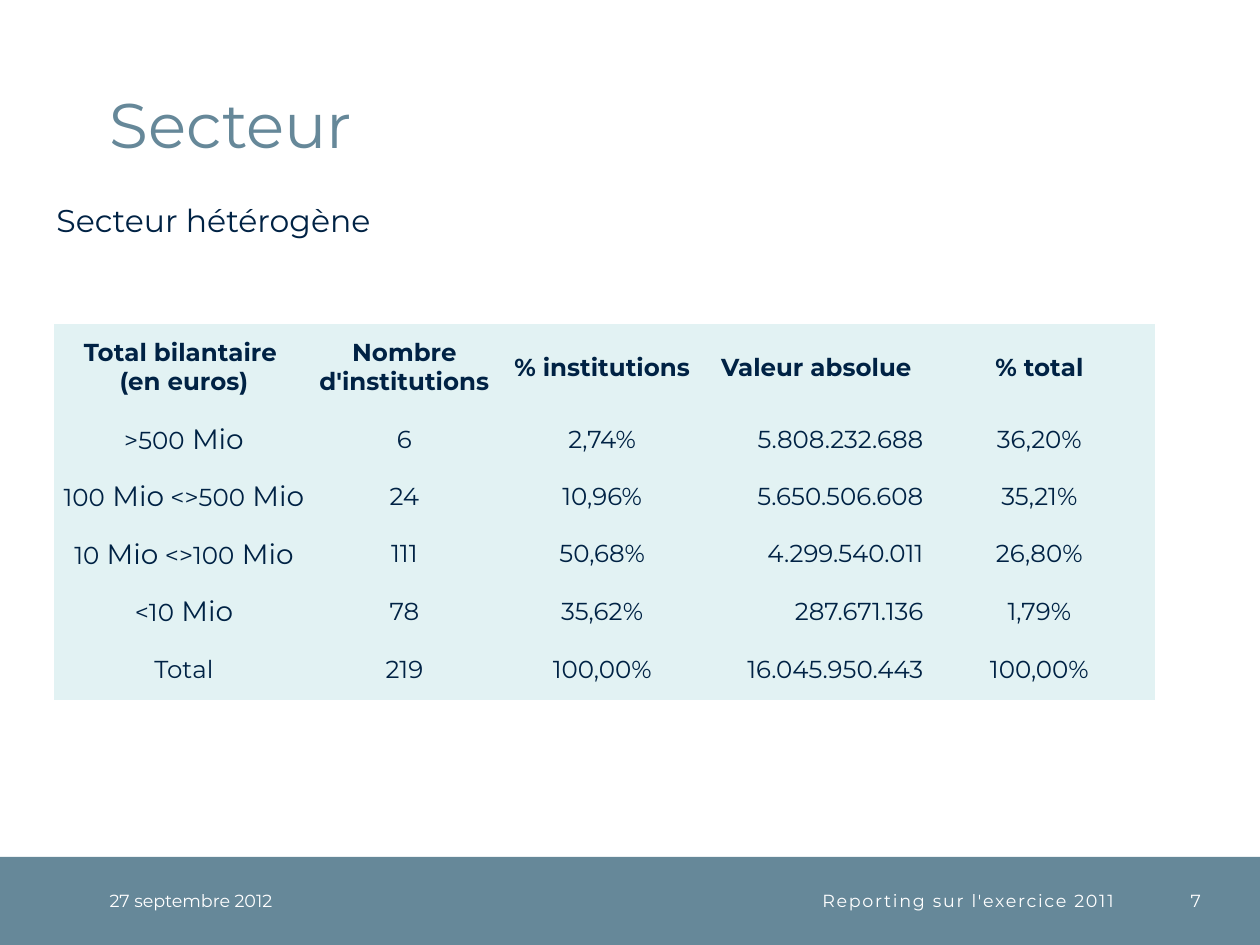
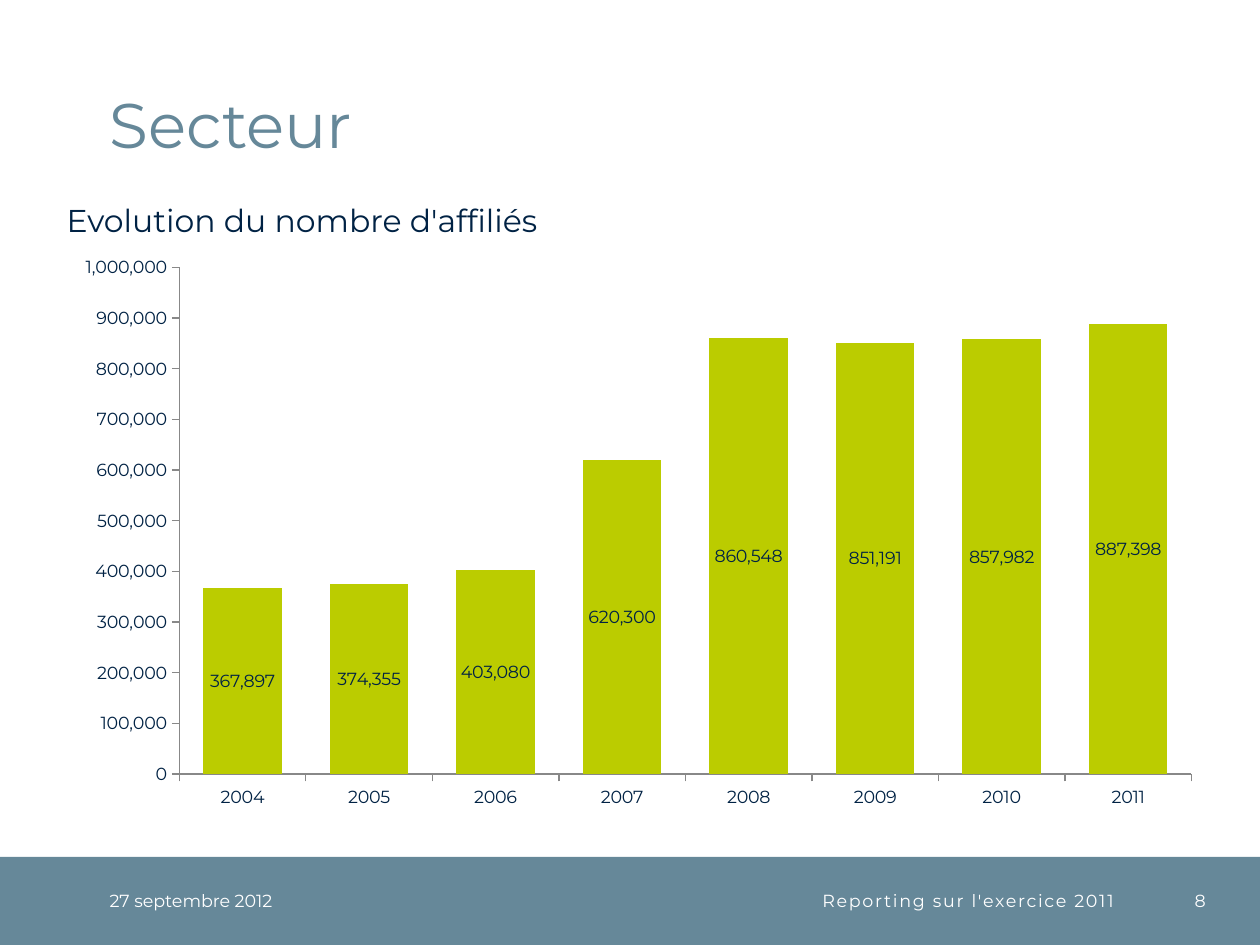
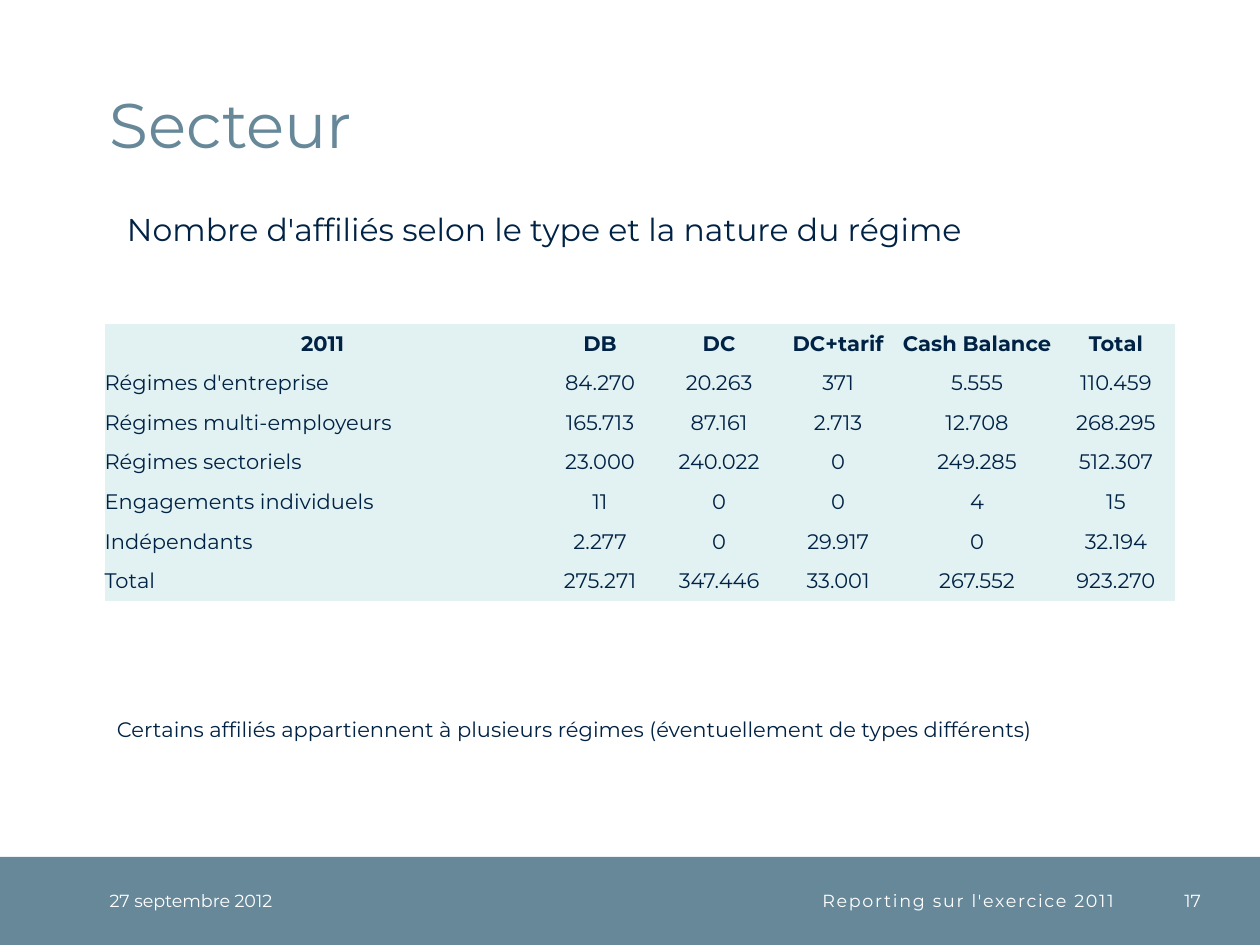
from dataclasses import dataclass
from typing import Optional

from lxml import etree
from pptx import Presentation
from pptx.chart.data import CategoryChartData
from pptx.dml.color import RGBColor
from pptx.enum.chart import XL_CHART_TYPE, XL_LABEL_POSITION, XL_TICK_MARK
from pptx.enum.shapes import MSO_SHAPE
from pptx.enum.text import MSO_ANCHOR, MSO_AUTO_SIZE, PP_ALIGN
from pptx.oxml.ns import qn
from pptx.util import Emu, Inches, Pt

LEFT, CENTER, RIGHT = PP_ALIGN.LEFT, PP_ALIGN.CENTER, PP_ALIGN.RIGHT
TOP, MIDDLE, BOTTOM = MSO_ANCHOR.TOP, MSO_ANCHOR.MIDDLE, MSO_ANCHOR.BOTTOM

# Shared style
FONT = "Montserrat"
SLATE, NAVY, WHITE = "668899", "002244", "FFFFFF"
PALE, LIME, GREY = "E2F2F3", "BBCC00", "888888"
NO_TABLE_STYLE = "{2D5ABB26-0587-4C30-8999-92F81FD0307C}"

# The slide is a grid of 100 columns by 75 rows
COLUMNS, ROWS = 100, 75
CELL = Inches(0.1)
MARGIN = 8.7
BAND_TOP, BAND_HEIGHT = 68, 7


@dataclass(frozen=True)
class Box:
    left: float
    top: float
    width: float
    height: float

    def place(self) -> tuple[Emu, Emu, Emu, Emu]:
        return grid(self.left), grid(self.top), grid(self.width), grid(self.height)


@dataclass(frozen=True)
class Style:
    size: float
    color: str = NAVY
    bold: bool = False
    tracking: float = 0


@dataclass(frozen=True)
class Footer:
    date_width: float = 17.7
    report_left: float = 26.4
    number_left: float = 90.4
    number_right: float = 95.3


@dataclass(frozen=True)
class TableSpec:
    box: Box
    columns: list[float]
    rows: list[float]
    alignments: list[PP_ALIGN]
    size: float
    cells: list[list[str]]
    unit: Optional[str] = None  # word set two points larger in the body


TITLE = Style(36, SLATE)
HEADING = Style(18)
NOTE = Style(12)
FOOTER = Style(10, WHITE)
REPORT = Style(10, WHITE, tracking=1)


def grid(steps: float) -> Emu:
    return Emu(round(steps * CELL))


def rgb(color: str) -> RGBColor:
    return RGBColor.from_string(color)


def add_run(paragraph, text: str, style: Style) -> None:
    run = paragraph.add_run()
    run.text = text
    run.font.name, run.font.size, run.font.bold = FONT, Pt(style.size), style.bold
    run.font.color.rgb = rgb(style.color)
    if style.tracking:
        run.font._element.set("spc", str(round(style.tracking * 100)))


def add_text(slide, box: Box, text: str, style: Style, align=LEFT, anchor=MIDDLE,
             line_spacing: Optional[float] = None, fit: bool = False) -> None:
    frame = slide.shapes.add_textbox(*box.place()).text_frame
    frame.word_wrap = True
    frame.vertical_anchor = anchor
    if fit:
        frame.auto_size = MSO_AUTO_SIZE.SHAPE_TO_FIT_TEXT
    else:
        frame.margin_left = frame.margin_right = frame.margin_top = frame.margin_bottom = 0
    paragraph = frame.paragraphs[0]
    paragraph.alignment = align
    if line_spacing:
        paragraph.line_spacing = Pt(line_spacing)
    add_run(paragraph, text, style)


def add_caption(slide, box: Box, text: str, style: Style = HEADING) -> None:
    add_text(slide, box, text, style, anchor=TOP, fit=True)


def add_base(presentation, number: int, footer: Footer = Footer()):
    """Blank slide with the band, title and footer texts."""
    slide = presentation.slides.add_slide(presentation.slide_layouts[6])
    band = slide.shapes.add_shape(
        MSO_SHAPE.RECTANGLE, *Box(0, BAND_TOP, COLUMNS, BAND_HEIGHT).place())
    band.shadow.inherit = False
    band.fill.solid()
    band.fill.fore_color.rgb = rgb(SLATE)
    band.line.fill.background()

    add_text(slide, Box(MARGIN, 2, 86.3, 10.8), "Secteur", TITLE,
             anchor=BOTTOM, line_spacing=32)
    footer_texts = [
        (MARGIN, MARGIN + footer.date_width, "27 septembre 2012", FOOTER, LEFT),
        (footer.report_left, 88.4, "Reporting sur l'exercice 2011", REPORT, RIGHT),
        (footer.number_left, footer.number_right, str(number), FOOTER, RIGHT),
    ]
    for left, right, text, style, align in footer_texts:
        add_text(slide, Box(left, BAND_TOP, right - left, BAND_HEIGHT), text, style, align)
    return slide


def fill_cell(cell, text: str, style: Style, align, unit: Optional[str]) -> None:
    cell.fill.solid()
    cell.fill.fore_color.rgb = rgb(PALE)
    cell.margin_left = cell.margin_right = cell.margin_top = cell.margin_bottom = 0
    cell.vertical_anchor = MIDDLE
    frame = cell.text_frame
    for line_index, line in enumerate(text.split("\n")):
        paragraph = frame.add_paragraph() if line_index else frame.paragraphs[0]
        paragraph.alignment = align
        for index, piece in enumerate(line.split(unit) if unit else [line]):
            if index:
                add_run(paragraph, unit, Style(style.size + 2))
            if piece:
                add_run(paragraph, piece, style)


def add_table(slide, spec: TableSpec) -> None:
    frame = slide.shapes.add_table(len(spec.rows), len(spec.columns), *spec.box.place())
    table = frame.table
    table.first_row = table.horz_banding = False
    next(frame._element.iter(qn("a:tableStyleId"))).text = NO_TABLE_STYLE
    for column, width in zip(table.columns, spec.columns):
        column.width = grid(width)
    for row, height in zip(table.rows, spec.rows):
        row.height = grid(height)
    for row_index, texts in enumerate(spec.cells):
        header = row_index == 0
        style = Style(spec.size, bold=header)
        for column_index, text in enumerate(texts):
            align = CENTER if header else spec.alignments[column_index]
            fill_cell(table.cell(row_index, column_index), text, style, align,
                      None if header else spec.unit)


def set_plot_area(chart, shares: dict[str, float]) -> None:
    """Fix the inner plot area as shares of the chart's size."""
    plot_area = chart._chartSpace.chart.plotArea
    for old_layout in plot_area.findall(qn("c:layout")):
        plot_area.remove(old_layout)
    layout = etree.Element(qn("c:layout"))
    manual = etree.SubElement(layout, qn("c:manualLayout"))
    settings = {"layoutTarget": "inner", "xMode": "edge", "yMode": "edge", **shares}
    for name, value in settings.items():
        etree.SubElement(manual, qn(f"c:{name}")).set("val", str(value))
    plot_area.insert(0, layout)


def add_members_chart(slide, box: Box, members: dict[str, int]) -> None:
    data = CategoryChartData(number_format="#,##0")
    data.categories = list(members)
    data.add_series("Series 1", list(members.values()))
    chart = slide.shapes.add_chart(XL_CHART_TYPE.COLUMN_STACKED, *box.place(), data).chart
    chart.has_legend = chart.has_title = False
    chart.font.name, chart.font.size = FONT, Pt(10)
    chart.font.color.rgb = rgb(NAVY)

    # Axes
    for axis in (chart.category_axis, chart.value_axis):
        axis.has_major_gridlines = False
        axis.major_tick_mark = XL_TICK_MARK.OUTSIDE
        axis.minor_tick_mark = XL_TICK_MARK.NONE
        axis.format.line.color.rgb = rgb(GREY)
        axis.format.line.width = Pt(0.75)
    value_axis = chart.value_axis
    value_axis.minimum_scale, value_axis.maximum_scale = 0, 1_000_000
    value_axis.major_unit = 100_000
    value_axis.tick_labels.number_format = "#,##0"
    value_axis.tick_labels.number_format_is_linked = False

    # Columns and their labels
    plot = chart.plots[0]
    plot.vary_by_categories = False
    plot.gap_width, plot.overlap = 61, 100
    series = plot.series[0]
    series.format.fill.solid()
    series.format.fill.fore_color.rgb = rgb(LIME)
    labels = series.data_labels
    labels.show_value = True
    labels.position = XL_LABEL_POSITION.CENTER
    labels.number_format, labels.number_format_is_linked = "#,##0", False
    labels.font.name, labels.font.size = FONT, Pt(10)
    labels.font.color.rgb = rgb(NAVY)
    set_plot_area(chart, {"x": 0.1, "y": 0.04, "w": 0.88, "h": 0.88})


BALANCE_TABLE = TableSpec(
    box=Box(4.3, 25.7, 87.4, 29.9),
    columns=[20.6, 14.4, 17, 17, 18.4],
    rows=[6.9] + [4.55] * 4 + [4.8],
    alignments=[CENTER, CENTER, CENTER, RIGHT, CENTER],
    size=14,
    unit=" Mio",
    cells=[
        ["Total bilantaire \n(en euros)", "Nombre d'institutions", "% institutions",
         "Valeur absolue", "% total"],
        [">500 Mio", "6", "2,74%", "5.808.232.688", "36,20%"],
        ["100 Mio <>500 Mio", "24", "10,96%", "5.650.506.608", "35,21%"],
        ["10 Mio <>100 Mio", "111", "50,68%", "4.299.540.011", "26,80%"],
        ["<10 Mio", "78", "35,62%", "287.671.136", "1,79%"],
        ["Total", "219", "100,00%", "16.045.950.443", "100,00%"],
    ],
)

SCHEME_TABLE = TableSpec(
    box=Box(8.3, 25.7, 85, 22),
    columns=[34.6, 9.45, 9.45, 9.45, 12.6, 9.45],
    rows=[22 / 7] * 7,
    alignments=[LEFT] + [CENTER] * 5,
    size=12,
    cells=[
        ["2011", "DB", "DC", "DC+tarif", "Cash Balance", "Total"],
        ["Régimes d'entreprise", "84.270", "20.263", "371", "5.555", "110.459"],
        ["Régimes multi-employeurs", "165.713", "87.161", "2.713", "12.708", "268.295"],
        ["Régimes sectoriels", "23.000", "240.022", "0", "249.285", "512.307"],
        ["Engagements individuels", "11", "0", "0", "4", "15"],
        ["Indépendants", "2.277", "0", "29.917", "0", "32.194"],
        ["Total", "275.271", "347.446", "33.001", "267.552", "923.270"],
    ],
)

MEMBERS = {
    "2004": 367897, "2005": 374355, "2006": 403080, "2007": 620300,
    "2008": 860548, "2009": 851191, "2010": 857982, "2011": 887398,
}


def main() -> None:
    presentation = Presentation()
    presentation.slide_width = grid(COLUMNS)
    presentation.slide_height = grid(ROWS)

    # Institutions by balance sheet total
    slide = add_base(presentation, 7)
    add_caption(slide, Box(3.5, 15.5, 32.3, 4), "Secteur hétérogène")
    add_table(slide, BALANCE_TABLE)

    # Members by year
    wide_footer = Footer(date_width=13.8, report_left=34.3,
                         number_left=MARGIN, number_right=95.7)
    slide = add_base(presentation, 8, wide_footer)
    add_caption(slide, Box(4.3, 15.5, 89.8, 4), "Evolution du nombre d'affiliés")
    add_members_chart(slide, Box(5.1, 19.4, 91.3, 45.7), MEMBERS)

    # Members by type of scheme
    slide = add_base(presentation, 17)
    add_caption(slide, Box(9.1, 16.2, 84.3, 4),
                "Nombre d'affiliés selon le type et la nature du régime")
    add_caption(slide, Box(8.3, 56.4, 87.4, 3),
                "Certains affiliés appartiennent à plusieurs régimes "
                "(éventuellement de types différents)", NOTE)
    add_table(slide, SCHEME_TABLE)

    presentation.save("out.pptx")


if __name__ == "__main__":
    main()
